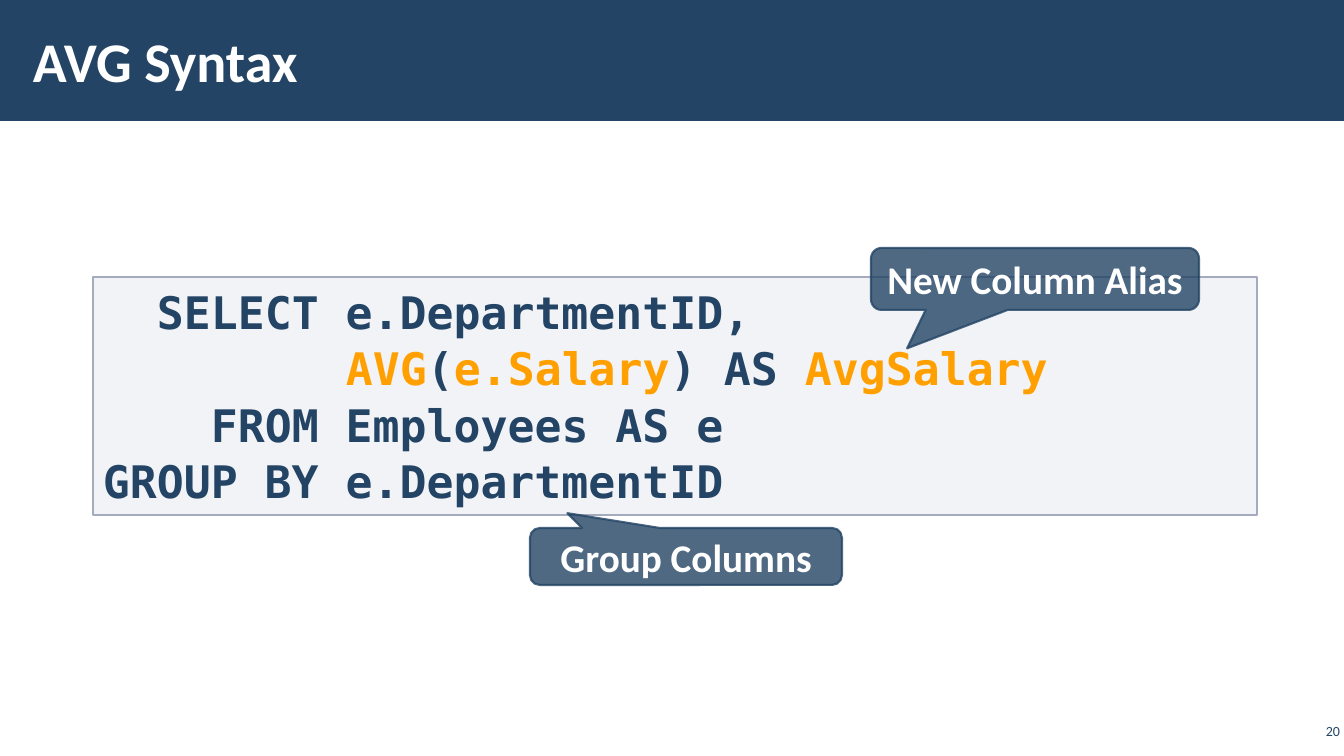
from lxml.etree import SubElement
from pptx import Presentation
from pptx.dml.color import RGBColor
from pptx.enum.shapes import MSO_SHAPE
from pptx.enum.text import MSO_ANCHOR, MSO_AUTO_SIZE, PP_ALIGN
from pptx.oxml.ns import qn
from pptx.util import Emu, Pt

TITLE = "AVG Syntax"
SLIDE_NUMBER = "20"
CODE_LINES = [
    (2, [("SELECT e.DepartmentID,", "navy")]),
    (9, [("AVG", "orange"), ("(", "navy"), ("e.Salary", "orange"),
         (") AS ", "navy"), ("AvgSalary", "orange")]),
    (4, [("FROM Employees AS e", "navy")]),
    (0, [("GROUP BY e.DepartmentID", "navy")]),
]
CALLOUTS = [
    ("Group Columns", (530, 528, 312, 57), (-0.38, -0.76, 0.17)),
    ("New Column Alias", (871, 248, 328, 62), (-0.39, 1.12, 0.17)),
]
COLORS = {"navy": "234465", "orange": "FFA000", "white": "FFFFFF",
          "code_fill": "C2C7D2", "code_line": "A3ABBC"}
HEADER_BOX = (0, 0, 1344, 121)
TITLE_BOX = (21, 11, 1048, 98)
CODE_BOX = (93, 277, 1164, 238)
NUMBER_BOX = (1296, 720, 48, 22)
CHARACTER_WIDTH = 27
TEXT_FONT = "Calibri"
CODE_FONT = "DejaVu Sans Mono"
PIXEL = 914400 / 100.8


def px(value):
    return Emu(round(value * PIXEL))


def place(box):
    return [px(value) for value in box]


def color(name):
    return RGBColor.from_string(COLORS[name])


def set_opacity(fill_parent, percent):
    solid_color = fill_parent.find(qn("a:solidFill"))[0]
    SubElement(solid_color, qn("a:alpha"), val=str(percent * 1000))


def format_run(run, size, color_name, font=TEXT_FONT, bold=True):
    run.font.name = font
    run.font.size = Pt(size)
    run.font.bold = bold
    run.font.color.rgb = color(color_name)


def write_line(shape, text, size, color_name, align, bold=True):
    frame = shape.text_frame
    frame.text = text
    frame.word_wrap = True
    frame.vertical_anchor = MSO_ANCHOR.MIDDLE
    paragraph = frame.paragraphs[0]
    paragraph.alignment = align
    format_run(paragraph.runs[0], size, color_name, bold=bold)


def set_margins(frame, horizontal, vertical):
    frame.margin_left = frame.margin_right = px(horizontal)
    frame.margin_top = frame.margin_bottom = px(vertical)


def add_filled(slide, preset, box, fill, opacity=100, line=None, width=1):
    shape = slide.shapes.add_shape(preset, *place(box))
    shape.shadow.inherit = False
    shape.fill.solid()
    shape.fill.fore_color.rgb = color(fill)
    set_opacity(shape.element.spPr, opacity)
    if line:
        shape.line.color.rgb = color(line)
        shape.line.width = Pt(width)
    else:
        shape.line.fill.background()
    return shape


def add_header(slide):
    bar = add_filled(slide, MSO_SHAPE.RECTANGLE, HEADER_BOX, "navy")
    title = slide.shapes.title
    title.element.addprevious(bar.element)
    title.left, title.top, title.width, title.height = place(TITLE_BOX)
    write_line(title, TITLE, 40, "white", PP_ALIGN.LEFT)
    set_margins(title.text_frame, 12, 4)


def add_code(slide):
    shape = add_filled(slide, MSO_SHAPE.RECTANGLE, CODE_BOX, "code_fill", 20, "code_line")
    frame = shape.text_frame
    frame.word_wrap = True
    frame.auto_size = MSO_AUTO_SIZE.SHAPE_TO_FIT_TEXT
    frame.vertical_anchor = MSO_ANCHOR.TOP
    for index, (indent, parts) in enumerate(CODE_LINES):
        paragraph = frame.add_paragraph() if index else frame.paragraphs[0]
        paragraph.alignment = PP_ALIGN.LEFT
        paragraph.line_spacing = 1.05
        properties = paragraph._p.get_or_add_pPr()
        properties.set("marL", str(px(indent * CHARACTER_WIDTH)))
        properties.set("indent", "0")
        for text, color_name in parts:
            run = paragraph.add_run()
            run.text = text
            format_run(run, 32, color_name, CODE_FONT)


def add_callout(slide, text, box, adjustments):
    shape = add_filled(slide, MSO_SHAPE.ROUNDED_RECTANGULAR_CALLOUT, box,
                       "navy", 80, "navy", 1.5)
    set_opacity(shape.element.spPr.find(qn("a:ln")), 80)
    for index, value in enumerate(adjustments):
        shape.adjustments[index] = value
    write_line(shape, text, 28, "white", PP_ALIGN.CENTER)


def add_number(slide):
    shape = slide.shapes.add_textbox(*place(NUMBER_BOX))
    write_line(shape, SLIDE_NUMBER, 10, "navy", PP_ALIGN.RIGHT, bold=False)
    set_margins(shape.text_frame, 4, 4)


def main():
    presentation = Presentation()
    presentation.slide_width = px(1344)
    presentation.slide_height = px(756)
    slide = presentation.slides.add_slide(presentation.slide_layouts[5])
    add_header(slide)
    add_code(slide)
    add_number(slide)
    for text, box, adjustments in CALLOUTS:
        add_callout(slide, text, box, adjustments)
    presentation.save("out.pptx")


if __name__ == "__main__":
    main()
